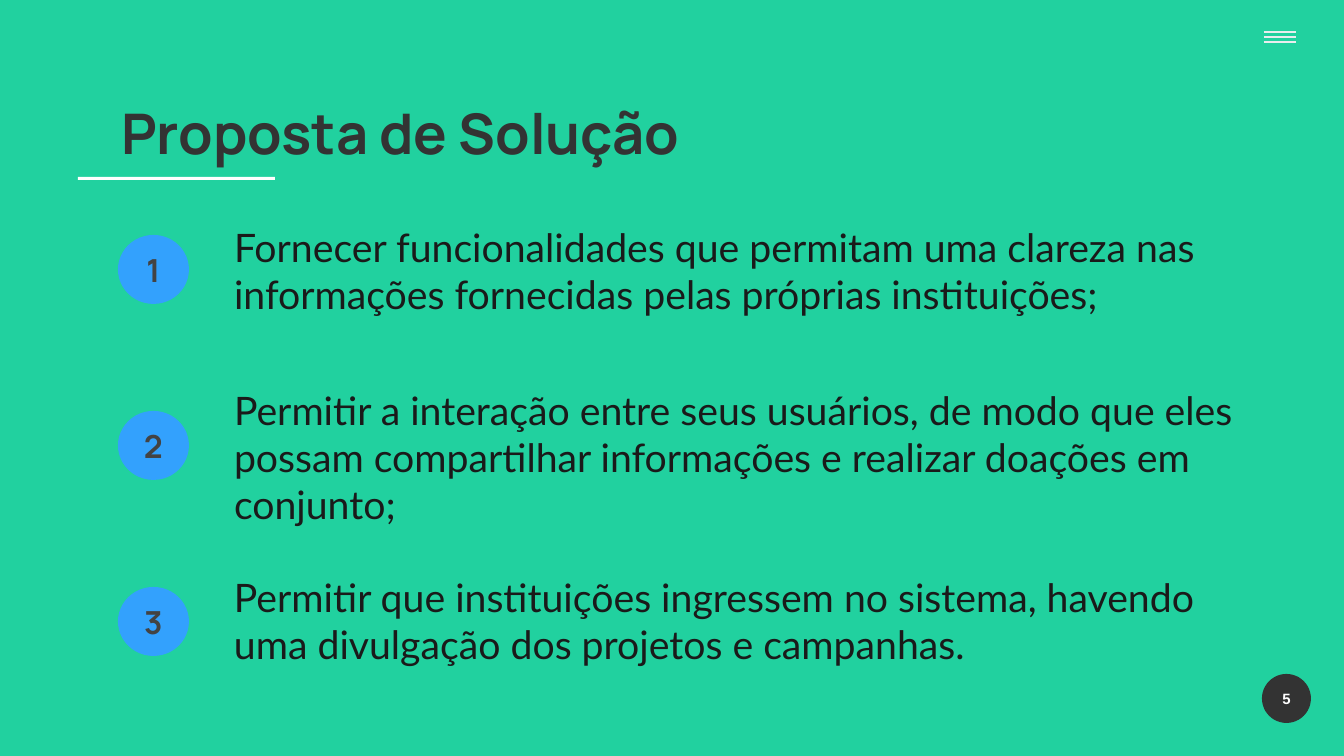
from lxml import etree
from pptx import Presentation
from pptx.dml.color import RGBColor
from pptx.enum.shapes import MSO_CONNECTOR, MSO_SHAPE
from pptx.enum.text import MSO_ANCHOR, PP_ALIGN
from pptx.oxml.ns import qn
from pptx.util import Pt

OVAL, RECT = MSO_SHAPE.OVAL, MSO_SHAPE.RECTANGLE
LINE = MSO_CONNECTOR.STRAIGHT
TOP, MIDDLE = MSO_ANCHOR.TOP, MSO_ANCHOR.MIDDLE
LEFT, CENTER = PP_ALIGN.LEFT, PP_ALIGN.CENTER
SCALE = 9144000 / 1344
COLORS = {
    "back": "21D19F", "title": "333333", "page": "333333", "white": "FFFFFF",
    "badge": "33A1FD", "digit": "434343", "text": "1A1A1A", "menu": "E9EDEE",
}
ITEMS = [
    (210, 1058, ["Fornecer funcionalidades que permitam uma clareza nas "
                 "informações fornecidas pelas próprias instituições;"]),
    (373, 1124, ["Permitir a interação entre seus usuários, de modo que eles",
                 "possam compartilhar informações e realizar doações em",
                 "conjunto;"]),
    (560, 1032, ["Permitir que instituições ingressem no sistema, havendo "
                 "uma divulgação dos projetos e campanhas."]),
]


def px(*nums):
    """Turn pixel lengths into EMU."""
    return [round(n * SCALE) for n in nums]


def color(name):
    """Look up a named colour."""
    return RGBColor.from_string(COLORS[name])


def write(shape, lines, size, face, ink, bold=False, align=LEFT, anchor=TOP):
    """Fill a shape with equally styled paragraphs."""
    frame = shape.text_frame
    frame.text = "\n".join(lines)
    frame.word_wrap = True
    frame.vertical_anchor = anchor
    frame.margin_left = frame.margin_right = px(13)[0]
    frame.margin_top = frame.margin_bottom = px(13)[0]
    for para in frame.paragraphs:
        para.alignment = align
        para.line_spacing = 1.0
        para.space_before = Pt(0)
        font = para.font
        font.size, font.name, font.bold = Pt(size), face, bold
        font.color.rgb = color(ink)


def add_title(slide, text):
    """Place the slide title."""
    title = slide.shapes.title
    title.left, title.top, title.width, title.height = px(108, 86, 1130, 117)
    write(title, [text], 30, "Manrope", "title", True)


def add_solid(slide, kind, box, fill):
    """Draw a plain filled shape."""
    shape = slide.shapes.add_shape(kind, *px(*box))
    shape.shadow.inherit = False
    shape.fill.solid()
    shape.fill.fore_color.rgb = color(fill)
    shape.line.fill.background()
    return shape


def add_badge(slide, box, text, fill, size, face, ink):
    """Draw a circle with a centred number."""
    badge = add_solid(slide, OVAL, box, fill)
    write(badge, [text], size, face, ink, True, CENTER, MIDDLE)


def add_text(slide, box, lines):
    """Add the wording of one item."""
    area = slide.shapes.add_textbox(*px(*box))
    write(area, lines, 21, "Lato", "text")


def add_menu(slide):
    """Draw the three menu strokes."""
    for row in range(3):
        y = 32 + 5 * row
        stroke = slide.shapes.add_connector(LINE, *px(1264, y, 1296, y))
        stroke.line.color.rgb = color("menu")
        stroke.line.width = Pt(0.75)
        etree.SubElement(stroke._element.spPr, qn("a:effectLst"))


def main():
    """Build and save the slide."""
    deck = Presentation()
    deck.slide_width, deck.slide_height = px(1344, 756)
    slide = deck.slides.add_slide(deck.slide_layouts[5])
    slide.background.fill.solid()
    slide.background.fill.fore_color.rgb = color("back")
    add_solid(slide, RECT, (78, 177, 197, 3), "white")
    add_menu(slide)
    add_title(slide, "Proposta de Solução")
    for num, (top, width, lines) in enumerate(ITEMS):
        add_badge(slide, (118, 235 + 176 * num, 71, 69), str(num + 1),
                  "badge", 17, "Manrope", "digit")
        add_text(slide, (221, top, min(width, 1123), 27 + 47 * max(2, len(lines))), lines)
    add_badge(slide, (1262, 674, 49, 49), "5", "page", 8, "Arial", "white")
    deck.save("out.pptx")


if __name__ == "__main__":
    main()
